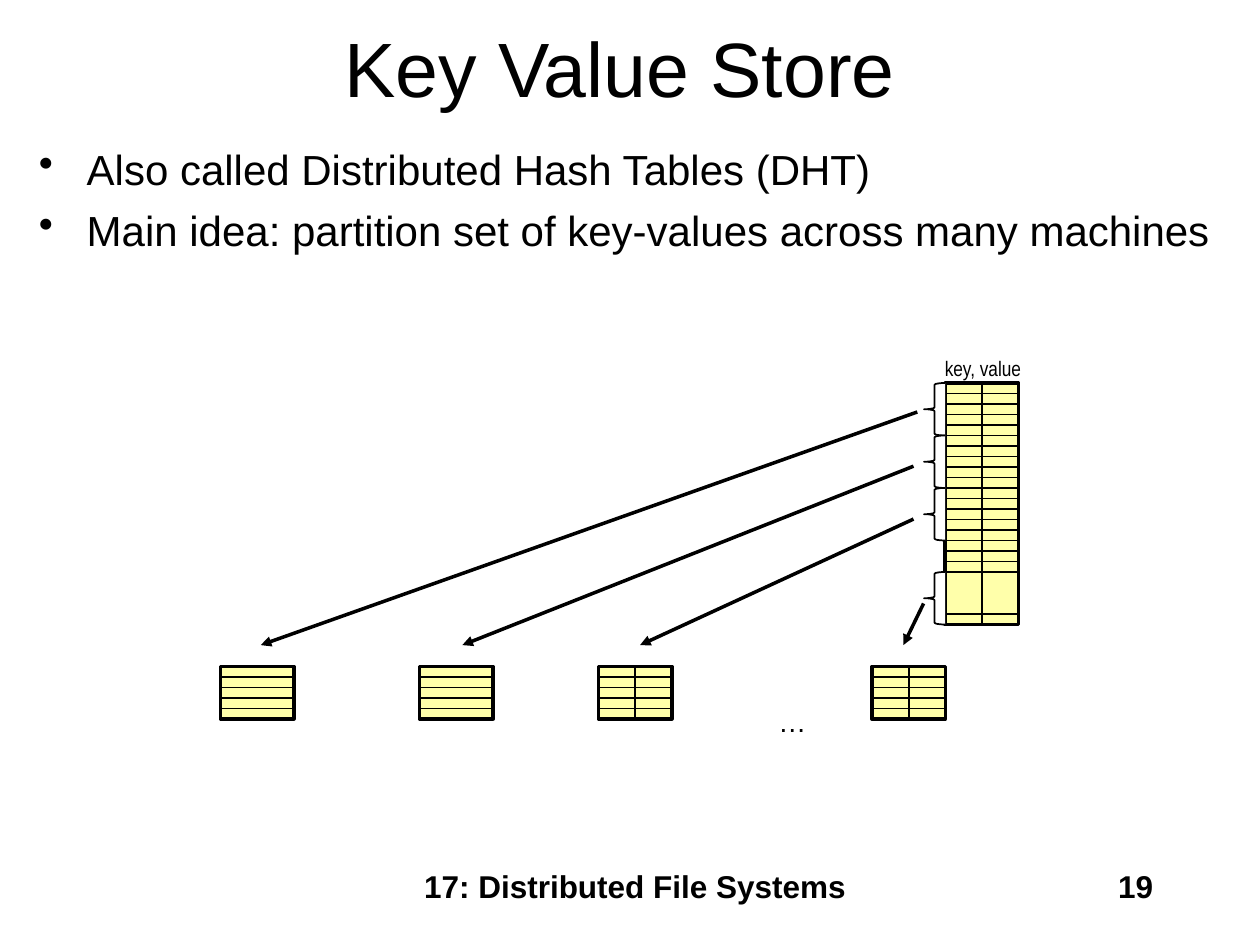
from lxml import etree
from pptx import Presentation, util as u
from pptx.dml.color import RGBColor
from pptx.enum import shapes, text
from pptx.oxml.ns import qn

INK, CELL, PAPER = "000000", "FFFFAA", "FFFFFF"
ROW = 1 / 12
PAIR_WIDTH = 7 * ROW
CHUNK_ROWS = 5


def color(hex_value):
    return RGBColor.from_string(hex_value)


def add_text(slide, box, lines, size, font="Arial", bold=False, align="LEFT",
             anchor="TOP", bullet=None):
    frame = slide.shapes.add_textbox(*map(u.Inches, box)).text_frame
    frame.word_wrap = True
    frame.vertical_anchor = getattr(text.MSO_ANCHOR, anchor)
    look = {"size": u.Pt(size), "name": font, "bold": bold}
    for index, line in enumerate(lines):
        paragraph = frame.paragraphs[0] if index == 0 else frame.add_paragraph()
        paragraph.text = line
        paragraph.alignment = getattr(text.PP_ALIGN, align)
        if index:
            paragraph.space_before = u.Pt(6)
        if bullet:
            props = paragraph._p.get_or_add_pPr()
            props.set("marL", str(u.Inches(0.38)))
            props.set("indent", str(u.Inches(-0.38)))
            etree.SubElement(props, qn("a:buChar")).set("char", bullet)
        for name, value in look.items():
            setattr(paragraph.font, name, value)
        paragraph.font.color.rgb = color(INK)


def add_outlined(slide, preset, box, fill, weight):
    shape = slide.shapes.add_shape(preset, *map(u.Inches, box))
    shape.shadow.inherit = False
    shape.fill.solid()
    shape.fill.fore_color.rgb = color(fill)
    shape.line.color.rgb = color(INK)
    shape.line.width = u.Pt(weight)


def add_line(slide, start, end, weight=1, arrow=False):
    line = slide.shapes.add_connector(
        shapes.MSO_CONNECTOR.STRAIGHT, *map(u.Inches, (*start, *end)))
    line.line.color.rgb = color(INK)
    line.line.width = u.Pt(weight)
    if arrow:
        etree.SubElement(line.line._get_or_add_ln(), qn("a:tailEnd")).set("type", "triangle")
    etree.SubElement(line._element.spPr, qn("a:effectLst"))


def add_store(slide, left, top, row_count, rules, split=True):
    """Draw a block of key-value rows, ruled below each row number in rules."""
    height = row_count * ROW
    add_outlined(slide, shapes.MSO_SHAPE.RECTANGLE,
                 (left, top, PAIR_WIDTH, height), CELL, 2)
    if split:
        middle = left + PAIR_WIDTH / 2
        add_line(slide, (middle, top), (middle, top + height))
    for row in rules:
        y = top + row * ROW
        add_line(slide, (left, y), (left + PAIR_WIDTH, y))


def add_partition(slide, left, top):
    """Draw the full table, its partitions and the machines that hold them."""
    table_left = left + 5.75
    machine_top = top + 2.25
    add_store(slide, table_left, top, 23, [*range(1, 19), 22])
    add_text(slide, (table_left - 0.1, top - 0.27, 0.85, 0.3),
             ["key, value"], 12, "Arial Narrow")

    # first row of the chunk, machine offset, split, arrow start and end offsets
    chunks = [
        (0, 0, False, (5.53, 0.23), 0.32),
        (5, 1.58, False, (5.5, 0.66), 1.92),
        (10, 3, True, (5.5, 1.08), 3.33),
        (18, 5.17, True, (5.58, 1.75), 5.42),
    ]
    for first_row, machine, split, (start_x, start_y), end_x in chunks:
        add_store(slide, left + machine, machine_top, CHUNK_ROWS,
                  range(1, CHUNK_ROWS), split)
        add_outlined(slide, shapes.MSO_SHAPE.LEFT_BRACE,
                     (table_left - 2 * ROW, top + first_row * ROW,
                      2 * ROW, CHUNK_ROWS * ROW), PAPER, 1)
        add_line(slide, (left + start_x, top + start_y),
                 (left + end_x, machine_top - 0.17), 2, arrow=True)
    add_text(slide, (left + 4.33, machine_top + 0.25, 0.54, 0.5), ["…"], 16)


def add_footer(slide, left, top):
    add_text(slide, (left, top, 3.92, 0.5), ["17: Distributed File Systems"],
             18, bold=True, align="CENTER")
    add_text(slide, (left + 4.09, top, 2.08, 0.5), ["19"],
             18, bold=True, align="RIGHT")


def main():
    deck = Presentation()
    deck.slide_width, deck.slide_height = u.Inches(10), u.Inches(7.5)
    slide = deck.slides.add_slide(deck.slide_layouts[6])
    add_text(slide, (0.67, 0.07, 8.5, 0.92), ["Key Value Store"], 44,
             align="CENTER", anchor="MIDDLE")
    add_text(slide, (0.21, 1.09, 9.58, 1.67),
             ["Also called Distributed Hash Tables (DHT)",
              "Main idea: partition set of key-values across many machines"],
             24, bullet="•")
    add_partition(slide, 1.75, 3.04)
    add_footer(slide, 3.08, 6.83)
    deck.save("out.pptx")


if __name__ == "__main__":
    main()
